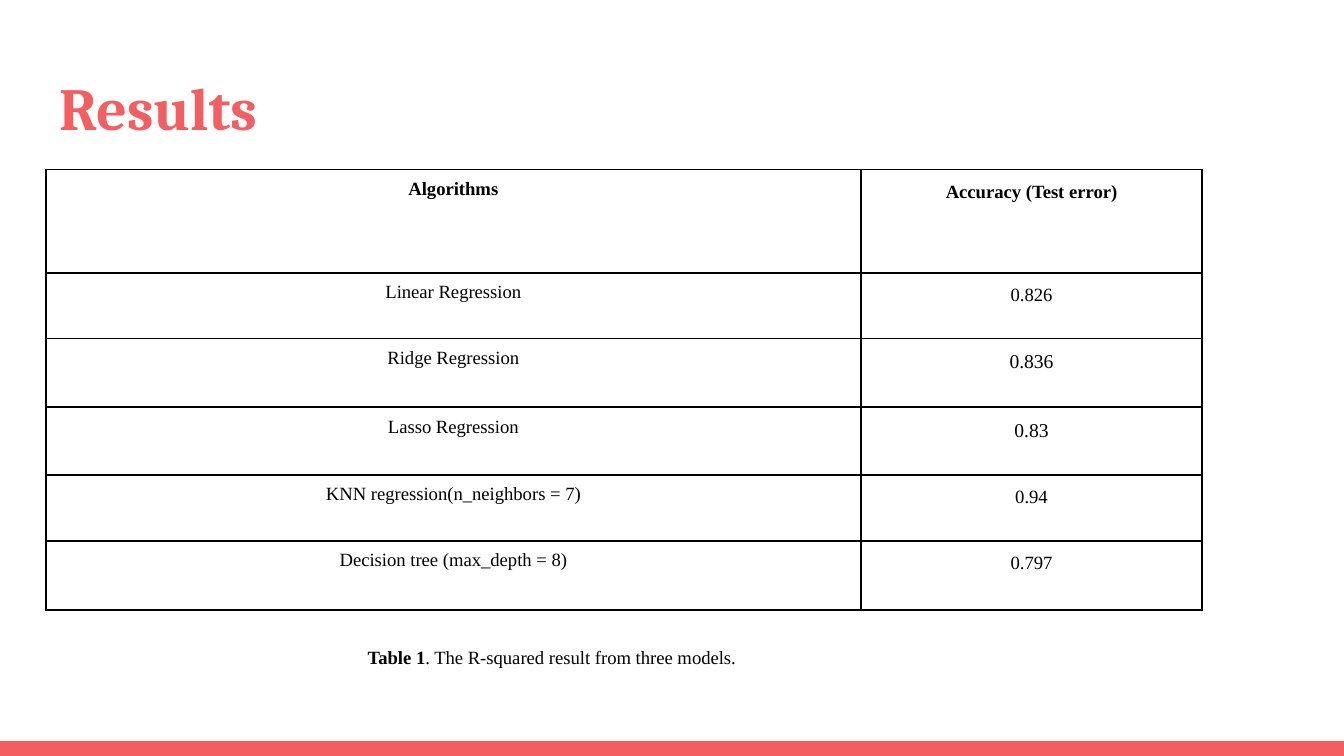
from dataclasses import dataclass

from lxml import etree
from pptx import Presentation
from pptx.dml.color import RGBColor
from pptx.enum.shapes import MSO_SHAPE
from pptx.enum.text import MSO_ANCHOR, PP_ALIGN
from pptx.oxml.ns import qn
from pptx.util import Emu, Pt

RECTANGLE = MSO_SHAPE.RECTANGLE
TOP, MIDDLE = MSO_ANCHOR.TOP, MSO_ANCHOR.MIDDLE
LEFT, CENTER = PP_ALIGN.LEFT, PP_ALIGN.CENTER
EMU_PER_PX = 4572
SLIDE_WIDTH, SLIDE_HEIGHT = 2000, 1125
BAR_HEIGHT = 22
TITLE_ONLY_LAYOUT = 5
COLUMN_WIDTHS = (1213, 508)
COLUMN_SPACINGS = (1.0, 1.15)
ROW_HEIGHTS = (154, 98, 102, 101, 98, 103)
RESULTS = (
    ("Algorithms", "Accuracy (Test error)"),
    ("Linear Regression", "0.826"),
    ("Ridge Regression", "0.836"),
    ("Lasso Regression", "0.83"),
    ("KNN regression(n_neighbors = 7)", "0.94"),
    ("Decision tree (max_depth = 8)", "0.797"),
)
LARGER_VALUES = ("0.836", "0.83")


@dataclass(frozen=True)
class Theme:
    """Colours, fonts and type sizes of the slide."""

    accent: str = "F55E61"
    ink: str = "000000"
    heading_font: str = "Cambria"
    body_font: str = "Times New Roman"
    title_size: float = 32
    body_size: float = 10
    larger_size: float = 10.5
    border_width: float = 1


THEME = Theme()


def px(length):
    """Turn a length in px into EMU."""
    return Emu(length * EMU_PER_PX)


def write_text(paragraph, text, *, size=THEME.body_size, font=THEME.body_font,
               color=THEME.ink, bold=False, align=CENTER, spacing=1.0):
    """Add a formatted run to a paragraph."""
    paragraph.alignment = align
    paragraph.line_spacing = spacing
    run = paragraph.add_run()
    run.text = text
    run.font.size = Pt(size)
    run.font.name = font
    run.font.bold = bold
    run.font.color.rgb = RGBColor.from_string(color)


def set_margins(container, margin):
    """Give a text frame or a cell equal insets."""
    for side in ("left", "right", "top", "bottom"):
        setattr(container, f"margin_{side}", px(margin))


def set_frame(text_frame, anchor):
    """Set wrapping, anchor and insets of a text frame."""
    text_frame.word_wrap = True
    text_frame.vertical_anchor = anchor
    set_margins(text_frame, 20)


def add_bar(slide):
    """Draw the accent bar at the foot of the slide."""
    bar = slide.shapes.add_shape(RECTANGLE, px(0), px(SLIDE_HEIGHT - BAR_HEIGHT),
                                 px(SLIDE_WIDTH), px(BAR_HEIGHT))
    bar.shadow.inherit = False
    bar.fill.solid()
    bar.fill.fore_color.rgb = RGBColor.from_string(THEME.accent)
    bar.line.fill.background()


def set_title(slide, text, left, top, width, height):
    """Place and fill the title placeholder."""
    title = slide.shapes.title
    title.left, title.top = px(left), px(top)
    title.width, title.height = px(width), px(height)
    set_frame(title.text_frame, TOP)
    write_text(title.text_frame.paragraphs[0], text, size=THEME.title_size,
               font=THEME.heading_font, color=THEME.accent, bold=True, align=LEFT)


def add_caption(slide, label, text, left, top, width, height):
    """Add a caption that opens with a bold label."""
    caption = slide.shapes.add_textbox(px(left), px(top), px(width), px(height))
    set_frame(caption.text_frame, MIDDLE)
    paragraph = caption.text_frame.paragraphs[0]
    write_text(paragraph, label, bold=True, spacing=1.15)
    write_text(paragraph, text, spacing=1.15)


def set_borders(cell):
    """Draw a solid line on every side of a cell."""
    properties = cell._tc.get_or_add_tcPr()
    for side in ("lnL", "lnR", "lnT", "lnB"):
        line = etree.SubElement(properties, qn(f"a:{side}"), w=str(Pt(THEME.border_width)))
        fill = etree.SubElement(line, qn("a:solidFill"))
        etree.SubElement(fill, qn("a:srgbClr"), val=THEME.ink)


def format_cell(cell, text, spacing, bold):
    """Fill one table cell with centred text."""
    set_margins(cell, 14)
    cell.vertical_anchor = TOP
    set_borders(cell)
    cell.fill.background()
    size = THEME.larger_size if text in LARGER_VALUES else THEME.body_size
    write_text(cell.text_frame.paragraphs[0], text, size=size, bold=bold, spacing=spacing)


def add_results_table(slide, left, top):
    """Add the bordered table of results."""
    frame = slide.shapes.add_table(len(RESULTS), len(COLUMN_WIDTHS), px(left), px(top),
                                   px(sum(COLUMN_WIDTHS)), px(sum(ROW_HEIGHTS)))
    table = frame.table
    table.horz_banding = False
    for column, width in zip(table.columns, COLUMN_WIDTHS):
        column.width = px(width)
    for row_index, (values, height) in enumerate(zip(RESULTS, ROW_HEIGHTS)):
        table.rows[row_index].height = px(height)
        for column_index, (text, spacing) in enumerate(zip(values, COLUMN_SPACINGS)):
            format_cell(table.cell(row_index, column_index), text, spacing, row_index == 0)


def main():
    """Build and save the results slide."""
    presentation = Presentation()
    presentation.slide_width, presentation.slide_height = px(SLIDE_WIDTH), px(SLIDE_HEIGHT)
    slide = presentation.slides.add_slide(presentation.slide_layouts[TITLE_ONLY_LAYOUT])
    add_bar(slide)
    set_title(slide, "Results", 68, 86, 1864, 136)
    add_caption(slide, "Table 1", ". The R-squared result from three models.",
                493, 648, 656, 656)
    add_results_table(slide, 68, 252)
    presentation.save("out.pptx")


if __name__ == "__main__":
    main()
